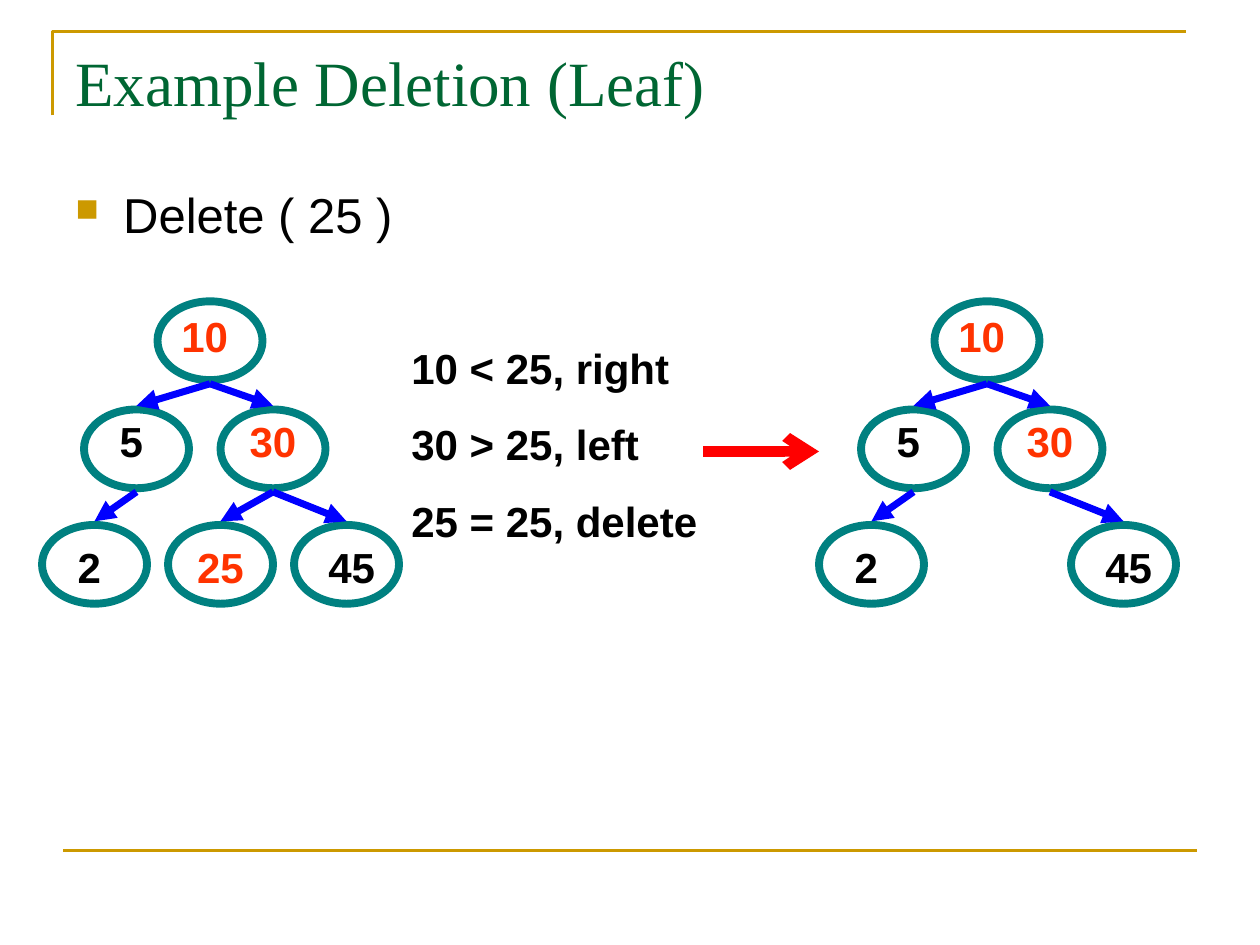
from lxml.etree import SubElement
from pptx import Presentation
from pptx.dml.color import RGBColor
from pptx.enum.shapes import MSO_CONNECTOR, MSO_SHAPE
from pptx.enum.text import MSO_ANCHOR, PP_ALIGN
from pptx.oxml.ns import qn
from pptx.util import Inches, Pt

presentation = Presentation()
presentation.slide_width, presentation.slide_height = Inches(10), Inches(7.5)
slide = presentation.slides.add_slide(presentation.slide_layouts[6])
shapes = slide.shapes

# Grid: 120 columns by 90 rows of equal square cells
CELL = presentation.slide_width // 120
GOLD, GREEN, TEAL, BLUE = "CC9900", "006633", "008080", "0000FF"
BLACK, ORANGE, RED = "000000", "FF3300", "FF0000"
color = RGBColor.from_string


def add_text(box, lines, text_color, size=24, bold=True, font="Arial",
             align=PP_ALIGN.LEFT, space=0):
    """Write lines into a box given as left, top, width, height in cells."""
    frame = shapes.add_textbox(*[int(v * CELL) for v in box]).text_frame
    frame.word_wrap = True
    frame.vertical_anchor = MSO_ANCHOR.TOP
    for number, line in enumerate(lines):
        paragraph = frame.add_paragraph() if number else frame.paragraphs[0]
        paragraph.text = line
        paragraph.alignment = align
        paragraph.space_before = Pt(space)
        values = {"name": font, "size": Pt(size), "bold": bold}
        for name, value in values.items():
            setattr(paragraph.font, name, value)
        paragraph.font.color.rgb = color(text_color)
    return frame


def add_line(start, end, line_color, width, head=None):
    """Draw a straight line between two (column, row) points."""
    ends = [int(v * CELL) for v in (*start, *end)]
    line = shapes.add_connector(MSO_CONNECTOR.STRAIGHT, *ends)
    line.line.color.rgb = color(line_color)
    line.line.width = Pt(width)
    if head:
        SubElement(line.line._get_or_add_ln(), qn("a:tailEnd"), type=head)
    SubElement(line._element.spPr, qn("a:effectLst"))


# Gold frame: corner at the top, rule at the bottom
builder = shapes.build_freeform(5, 11, scale=CELL)
builder.add_line_segments([(5, 3), (113, 3)], close=False)
corner = builder.convert_to_shape()
corner.shadow.inherit = False
corner.fill.background()
corner.line.color.rgb = color(GOLD)
corner.line.width = Pt(1.5)
add_line((6, 81), (114, 81), GOLD, 1.5)

# Title and bullet
add_text((6, 3.6, 74, 8.4), ["Example Deletion (Leaf)"], GREEN, 36, False,
         "Times New Roman")
body = add_text((6, 17, 108, 63.5), ["Delete ( 25 )"], BLACK, 28, False, space=7)
indent = Inches(0.38)
properties = body.paragraphs[0]._p.get_or_add_pPr()
properties.set("marL", str(indent))
properties.set("indent", str(-indent))
bullet_color = SubElement(properties, qn("a:buClr"))
SubElement(bullet_color, qn("a:srgbClr"), val=GOLD)
SubElement(properties, qn("a:buSzPct"), val="65000")
SubElement(properties, qn("a:buChar"), char="■")

# Trees: key -> node column, node row, label column, label row, label width, colour
NODES = {
    "10": (15, 28.7, 16, 29, 7, ORANGE),
    "5": (8, 39, 10, 39, 5, BLACK),
    "30": (21, 39, 22, 39, 8, ORANGE),
    "2": (4, 50, 6, 51, 5, BLACK),
    "25": (16, 50, 17, 51, 8, ORANGE),
    "45": (28, 50, 30, 51, 7, BLACK),
}
EDGES = [("5", "2"), ("30", "25"), ("10", "30"), ("10", "5"), ("30", "45")]
NODE_WIDTH, NODE_HEIGHT, GAP = 10, 7.5, 0.35

for shift, deleted in ((0, None), (74, "25")):
    nodes = {key: node for key, node in NODES.items() if key != deleted}
    for column, row, *_ in nodes.values():
        box = (column + shift, row, NODE_WIDTH, NODE_HEIGHT)
        node = shapes.add_shape(MSO_SHAPE.OVAL, *[int(v * CELL) for v in box])
        node.shadow.inherit = False
        node.fill.background()
        node.line.color.rgb = color(TEAL)
        node.line.width = Pt(4.5)
    for parent, child in EDGES:
        if child in nodes:
            start_column, start_row = nodes[parent][:2]
            end_column, end_row = nodes[child][:2]
            middle = shift + NODE_WIDTH / 2
            add_line((start_column + middle, start_row + NODE_HEIGHT + GAP),
                     (end_column + middle, end_row - GAP), BLUE, 4, "triangle")
    for key, (_, _, column, row, width, key_color) in nodes.items():
        add_text((column + shift, row, width, 6), [key], key_color,
                 align=PP_ALIGN.CENTER)

# Search steps and the arrow to the result
add_text((38, 32, 30, 20.6),
         ["10 < 25, right", "30 > 25, left", "25 = 25, delete"], BLACK, space=15)
add_line((67, 43), (78, 43), RED, 6, "arrow")

presentation.save("out.pptx")
